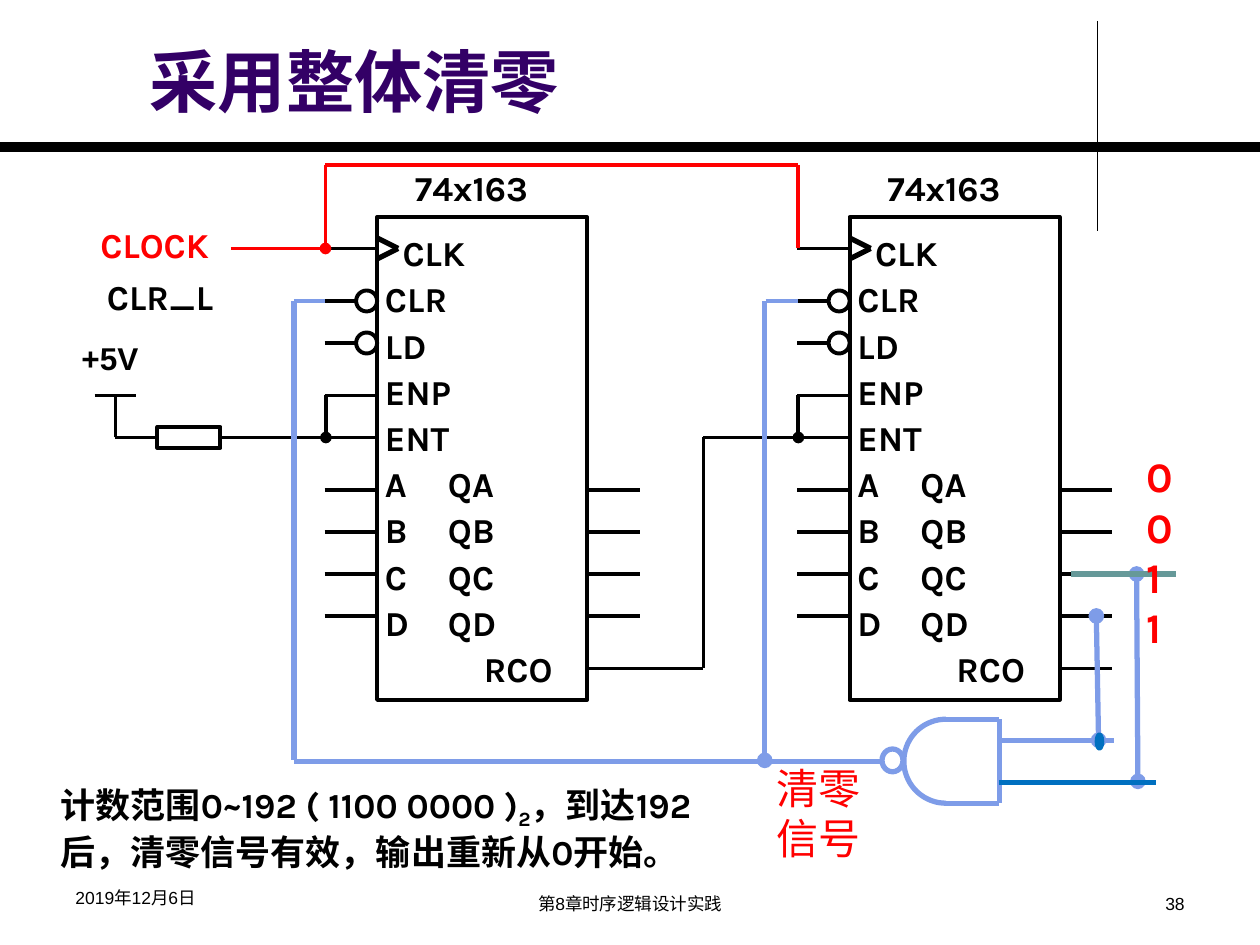
import math
from dataclasses import dataclass

import lxml.etree
import pptx
import pptx.dml.color
import pptx.enum.shapes
import pptx.enum.text
import pptx.oxml.ns
import pptx.util

Pt = pptx.util.Pt
RGBColor = pptx.dml.color.RGBColor
MSO_SHAPE = pptx.enum.shapes.MSO_SHAPE
PP_ALIGN = pptx.enum.text.PP_ALIGN
MSO_ANCHOR = pptx.enum.text.MSO_ANCHOR
qn = pptx.oxml.ns.qn

BLACK = RGBColor(0x00, 0x00, 0x00)
RED = RGBColor(0xFF, 0x00, 0x00)
PURPLE = RGBColor(0x33, 0x00, 0x66)
PERIWINKLE = RGBColor(0x7E, 0x9C, 0xE8)
BLUE = RGBColor(0x00, 0x70, 0xC0)
TEAL = RGBColor(0x66, 0x99, 0x99)

CHIP_TOP, CHIP_WIDTH, CHIP_HEIGHT = 124, 120, 276
FIRST_CHIP, SECOND_CHIP = 215.5, 485.5
PIN_LENGTH, BUBBLE = 30, 12
PIN_Y = {"CLK": 142, "CLR": 172, "LD": 196, "ENP": 226, "ENT": 250,
         "A": 280, "B": 304, "C": 328, "D": 352, "RCO": 382}
OUTPUT_TAB = 68
PIN_INDENT = {"CLK": 10, "RCO": 56.5}


@dataclass
class Wire:
    x1: float
    y1: float
    x2: float
    y2: float
    color: RGBColor = BLACK
    width: float = 2.25
    head: bool = False
    tail: bool = False


@dataclass
class Label:
    text: str
    left: float
    top: float
    width: float
    height: float
    size: float = 20
    font: str = "Karla"
    color: RGBColor = BLACK
    bold: bool = True
    wrap: bool = True
    align: PP_ALIGN = PP_ALIGN.LEFT
    anchor: MSO_ANCHOR = MSO_ANCHOR.TOP


def draw_wire(shapes, wire: Wire) -> None:
    line = shapes.add_connector(
        pptx.enum.shapes.MSO_CONNECTOR.STRAIGHT,
        Pt(wire.x1), Pt(wire.y1), Pt(wire.x2), Pt(wire.y2))
    line.line.color.rgb = wire.color
    line.line.width = Pt(wire.width)
    outline = line.line._get_or_add_ln()
    for tag, dotted in (("a:headEnd", wire.head), ("a:tailEnd", wire.tail)):
        if dotted:
            lxml.etree.SubElement(outline, qn(tag)).set("type", "oval")
    lxml.etree.SubElement(line._element.spPr, qn("a:effectLst"))


def style_run(run, label: Label) -> None:
    run.font.name = label.font
    run.font.size = Pt(label.size)
    run.font.bold = label.bold
    run.font.color.rgb = label.color


def draw_label(shapes, label: Label):
    box = shapes.add_textbox(Pt(label.left), Pt(label.top), Pt(label.width), Pt(label.height))
    frame = box.text_frame
    frame.word_wrap = label.wrap
    frame.vertical_anchor = label.anchor
    frame.text = label.text
    frame.paragraphs[0].alignment = label.align
    style_run(frame.paragraphs[0].runs[0], label)
    return frame.paragraphs[0]


def outline_shape(shape, color: RGBColor = BLACK, width: float = 2.25) -> None:
    shape.shadow.inherit = False
    shape.fill.background()
    shape.line.color.rgb = color
    shape.line.width = Pt(width)


def draw_outline(shapes, kind: MSO_SHAPE, left: float, top: float, width: float,
                 height: float, color: RGBColor = BLACK, weight: float = 2.25):
    shape = shapes.add_shape(kind, Pt(left), Pt(top), Pt(width), Pt(height))
    outline_shape(shape, color, weight)
    return shape


def write_pins(body) -> None:
    frame = body.text_frame
    frame.word_wrap = True
    frame.vertical_anchor = MSO_ANCHOR.MIDDLE
    frame.margin_left = Pt(4.5)
    frame.text = "\n".join(f"{pin}\tQ{pin}" if pin in "ABCD" else pin for pin in PIN_Y)
    for pin, paragraph in zip(PIN_Y, frame.paragraphs):
        paragraph.alignment = PP_ALIGN.LEFT
        paragraph.line_spacing = 1.1
        properties = paragraph._p.get_or_add_pPr()
        properties.set("marL", str(Pt(PIN_INDENT.get(pin, 0))))
        properties.set("indent", "0")
        if pin in "ABCD":
            tabs = lxml.etree.SubElement(properties, qn("a:tabLst"))
            lxml.etree.SubElement(tabs, qn("a:tab"), pos=str(Pt(OUTPUT_TAB)), algn="l")
        for run in paragraph.runs:
            style_run(run, Label(pin, 0, 0, 0, 0))


def draw_chip(shapes, left: float) -> None:
    right = left + CHIP_WIDTH
    write_pins(draw_outline(shapes, MSO_SHAPE.RECTANGLE, left, CHIP_TOP, CHIP_WIDTH, CHIP_HEIGHT))
    clock_y = PIN_Y["CLK"]
    for edge in (-6, 6):
        draw_wire(shapes, Wire(left, clock_y + edge, left + BUBBLE, clock_y, width=3))
    for pin, y in PIN_Y.items():
        inverted = pin in ("CLR", "LD")
        if inverted:
            draw_outline(shapes, MSO_SHAPE.OVAL, left - BUBBLE, y - BUBBLE / 2, BUBBLE, BUBBLE)
        if pin != "RCO":
            stop = left - BUBBLE if inverted else left
            draw_wire(shapes, Wire(left - PIN_LENGTH, y, stop, y))
        if pin in "ABCD" or pin == "RCO":
            draw_wire(shapes, Wire(right, y, right + PIN_LENGTH, y))
    draw_label(shapes, Label("74x163", left + 14.5, 91.5, 91, 31, wrap=False))


def draw_gate_curve(shapes, x: float, y: float, radius: float) -> None:
    angles = [math.radians(90 + step * 5) for step in range(37)]
    points = [(Pt(x + radius * math.cos(a)), Pt(y + radius * math.sin(a))) for a in angles]
    builder = shapes.build_freeform(*points[0])
    builder.add_line_segments(points[1:], close=False)
    outline_shape(builder.convert_to_shape(), PERIWINKLE, 3)


BLACK_WIRES = [
    Wire(126, 250, 186, 250),
    Wire(186.25, 226, 186.25, 250, tail=True),
    Wire(66, 250, 90, 250),
    Wire(66, 250, 66, 226),
    Wire(54, 226, 78, 226),
    Wire(402, 382, 402, 250),
    Wire(402, 250, 456, 250),
    Wire(360, 382, 402, 382),
    Wire(456.25, 226, 456.25, 250, tail=True),
]
CLOCK_WIRES = [
    Wire(186, 94.5, 186, 142, RED, tail=True),
    Wire(132, 142, 186, 142, RED),
    Wire(186, 94.5, 456, 94.5, RED),
    Wire(456, 142, 456, 94.5, RED),
]
CLEAR_WIRES = [
    Wire(649.5, 328, 650.25, 446.5, PERIWINKLE, 3, True, True),
    Wire(168, 172, 168, 434.5, PERIWINKLE, 3),
    Wire(168, 172, 186, 172, PERIWINKLE),
    Wire(437.5, 172, 456, 172, PERIWINKLE),
    Wire(437, 172, 437, 434.5, PERIWINKLE, 3, tail=True),
    Wire(168, 435, 504, 435, PERIWINKLE, 3),
    Wire(540.5, 411, 571, 411, PERIWINKLE, 3),
    Wire(540.5, 459, 571, 459, PERIWINKLE, 3),
    Wire(571, 411, 571, 459, PERIWINKLE, 3),
    Wire(571, 423, 636.5, 423, PERIWINKLE, 3),
    Wire(571, 447, 660.5, 447, BLUE, 3),
    Wire(626.5, 352, 627.75, 423, PERIWINKLE, 3, True, True),
    Wire(612, 328, 672, 328, TEAL, 3),
]
LABELS = [
    Label("+5V", 39.5, 190, 50.5, 36, 18, "Arial", wrap=False),
    Label("CLOCK", 50.25, 124, 82, 31, color=RED, wrap=False),
    Label("CLR_L", 54, 154, 78.5, 31, wrap=False),
    Label("采用整体清零", 78.5, 14.5, 543.5, 58.5, 39, "Arial", PURPLE, anchor=MSO_ANCHOR.BOTTOM),
    Label("2019年12月6日", 36, 503.5, 168, 24.5, 10, "Arial", bold=False),
    Label("第8章时序逻辑设计实践", 246, 507, 228, 21, 10, "Arial", bold=False, align=PP_ALIGN.CENTER),
    Label("38", 516, 507, 168, 21, 10, "Arial", bold=False, align=PP_ALIGN.RIGHT),
    Label("清零信号", 436.5, 432, 67, 65.5, 24, "Arial", RED, bold=False),
    Label("0011", 648, 254, 25.25, 124, 24, color=RED),
]
COUNT_RANGE = Label("计数范围0~192 ( 1100 0000 )", 27.5, 444, 391, 55.5)


def main() -> None:
    deck = pptx.Presentation()
    deck.slide_width, deck.slide_height = Pt(720), Pt(540)
    shapes = deck.slides.add_slide(deck.slide_layouts[6]).shapes

    draw_wire(shapes, Wire(627, 12, 627, 132, width=0.75))
    draw_wire(shapes, Wire(0, 84, 720, 84, width=6))
    for left in (FIRST_CHIP, SECOND_CHIP):
        draw_chip(shapes, left)
    draw_outline(shapes, MSO_SHAPE.RECTANGLE, 90, 244, 36, 12)
    for wire in BLACK_WIRES + CLOCK_WIRES + CLEAR_WIRES:
        draw_wire(shapes, wire)
    draw_outline(shapes, MSO_SHAPE.OVAL, 504, 428, 12, 13, PERIWINKLE, 3)
    draw_gate_curve(shapes, 540.5, 435, 24)
    junction = draw_outline(shapes, MSO_SHAPE.OVAL, 626.5, 419.5, 3.5, 8.5, BLUE, 2)
    junction.fill.solid()
    junction.fill.fore_color.rgb = BLUE

    for label in LABELS:
        draw_label(shapes, label)
    sentence = draw_label(shapes, COUNT_RANGE)
    for text, baseline in (("2", "-25000"), ("，到达192后，清零信号有效，输出重新从0开始。", "0")):
        run = sentence.add_run()
        run.text = text
        style_run(run, COUNT_RANGE)
        run._r.get_or_add_rPr().set("baseline", baseline)
    deck.save("out.pptx")


if __name__ == "__main__":
    main()
